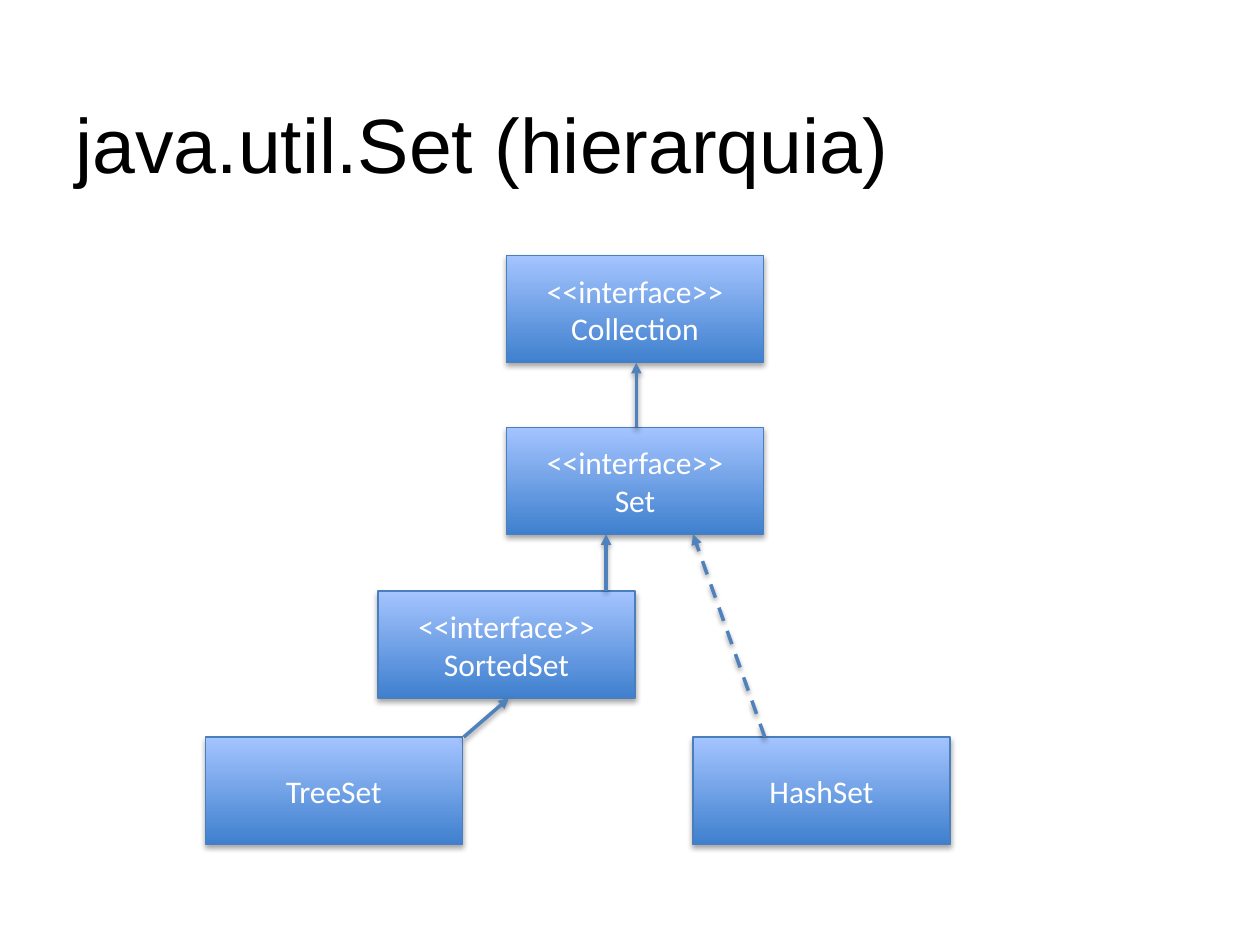
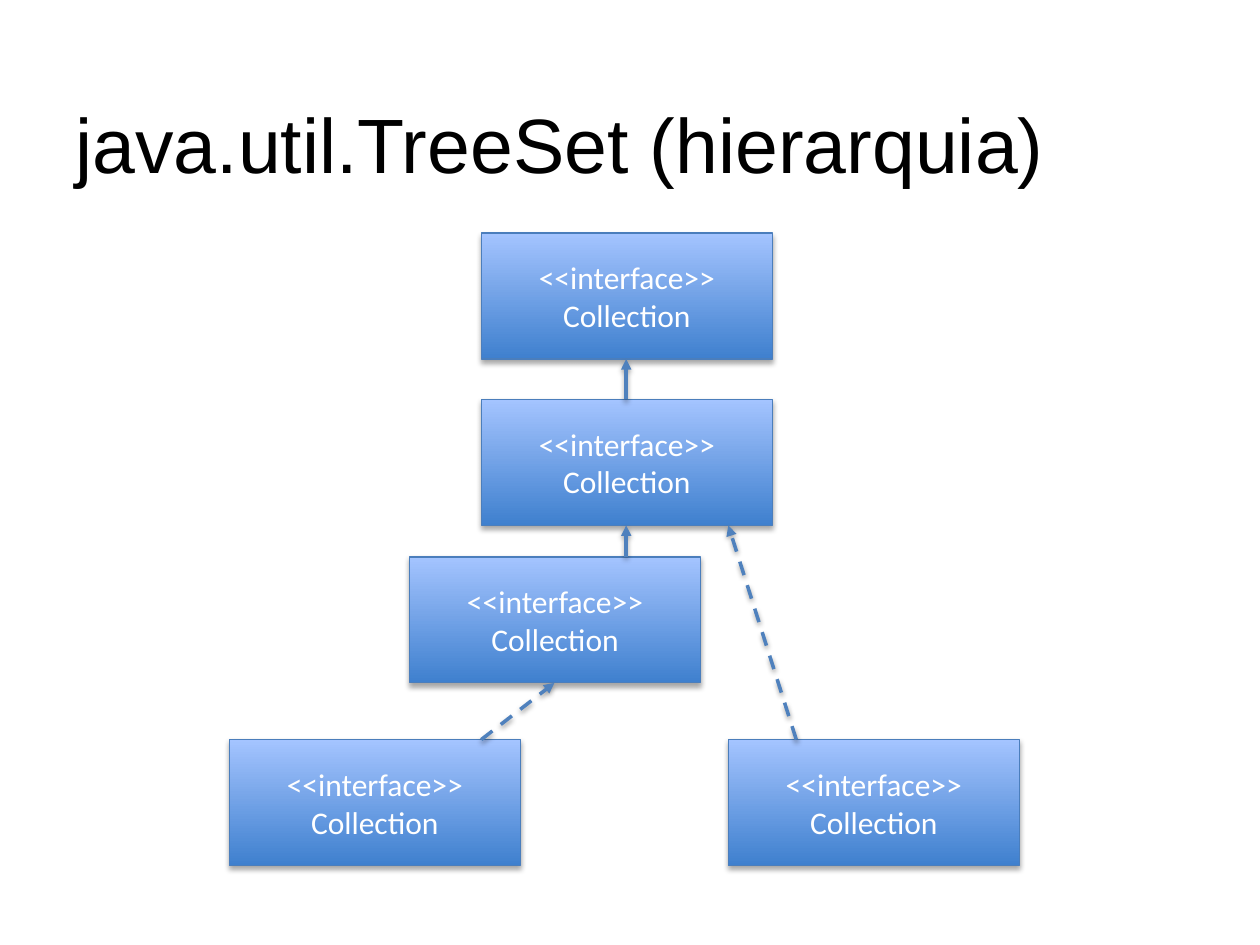
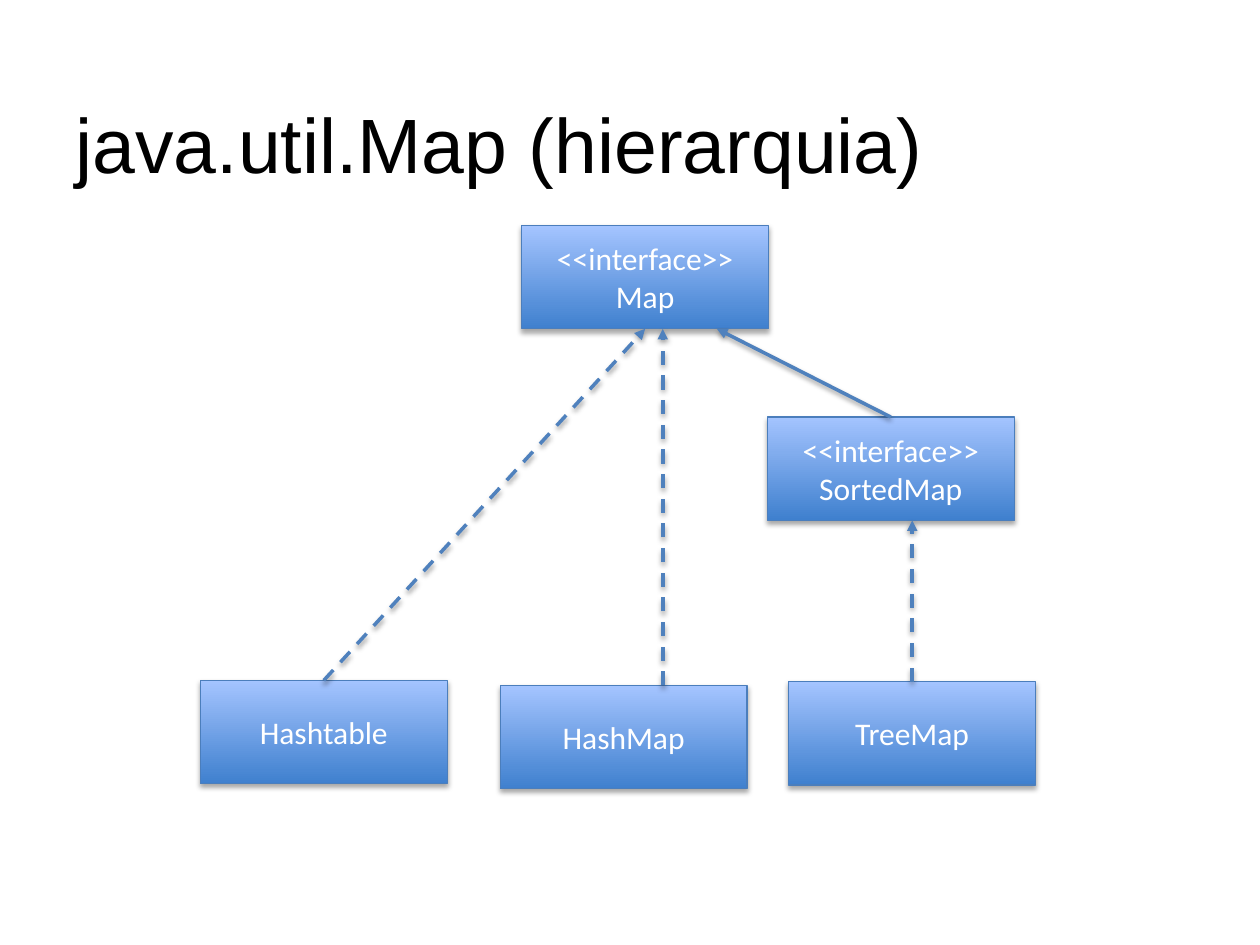
from pptx import Presentation
from pptx.dml.color import RGBColor
from pptx.enum.dml import MSO_LINE
from pptx.enum.shapes import MSO_CONNECTOR as LINK, MSO_SHAPE as SHAPE
from pptx.enum.text import MSO_ANCHOR as ANCHOR, MSO_AUTO_SIZE as FIT, PP_ALIGN as ALIGN
from pptx.oxml import parse_xml
from pptx.oxml.ns import nsdecls
from pptx.util import Inches, Pt

# Colours
BLACK = RGBColor(0x00, 0x00, 0x00)
WHITE = RGBColor(0xFF, 0xFF, 0xFF)
DEEP = RGBColor(0x3F, 0x80, 0xCE)
PALE = RGBColor(0xA4, 0xC4, 0xFF)
EDGE = RGBColor(0x4B, 0x7E, 0xBC)
ARROW = RGBColor(0x4F, 0x81, 0xBD)

# Formats
HEAD = {"size": Pt(44), "name": "Arial"}
LABEL = {"size": Pt(18), "name": "Calibri"}

deck = Presentation()
deck.slide_width, deck.slide_height = Inches(10), Inches(7.5)

# Grid of 100 columns and 75 rows
COL = deck.slide_width / 100
ROW = deck.slide_height / 75


def dress(para, form, color, align):
    para.alignment = align
    for run in para.runs:
        for key, value in form.items():
            setattr(run.font, key, value)
        run.font.color.rgb = color


def shade(item, dist, alpha):
    props = item._element.spPr
    for old in props.findall("{*}effectLst"):
        props.remove(old)
    props.append(parse_xml(
        f'<a:effectLst {nsdecls("a")}>'
        f'<a:outerShdw blurRad="{Pt(3.1)}" dist="{Pt(dist)}" dir="5400000" rotWithShape="0">'
        f'<a:srgbClr val="000000"><a:alpha val="{alpha * 1000}"/></a:srgbClr>'
        '</a:outerShdw></a:effectLst>'))


# Shared title place
plan = deck.slide_layouts[5]
place = {"left": 5 * COL, "top": 3 * ROW, "width": 93 * COL, "height": 12.5 * ROW}
for key, value in place.items():
    setattr(plan.placeholders[0], key, int(value))
plan.placeholders[0].text_frame.vertical_anchor = ANCHOR.BOTTOM

FACE = "<<interface>>\n"

# Each slide: title, box size, boxes (column, row, text),
# arrows (child, parent, start column, end column, dashed)
charts = [
    ("java.util.Set (hierarquia)", (20.4, 8.5),
     [(40.2, 20.3, FACE + "Collection"),
      (40.2, 33.9, FACE + "Set"),
      (30, 46.9, FACE + "SortedSet"),
      (55, 58.5, "HashSet"),
      (16.3, 58.5, "TreeSet")],
     [(1, 0, 50.5, 50.5, False),
      (4, 2, 36.8, 40.4, False),
      (2, 1, 48.1, 48.1, False),
      (3, 1, 60.7, 55, True)]),
    ("java.util.TreeSet (hierarquia)", (23.1, 10),
     [(x, y, FACE + "Collection") for x, y in
      [(38.2, 18.5), (38.2, 31.7), (32.5, 44.2), (57.8, 58.7), (18.2, 58.7)]],
     [(1, 0, 49.7, 49.7, False),
      (2, 1, 49.7, 49.7, False),
      (4, 2, 38.2, 44, True),
      (3, 1, 63.2, 57.8, True)]),
    ("java.util.Map (hierarquia)", (19.6, 8.2),
     [(41.4, 17.9, FACE + "Map"),
      (60.9, 33.1, FACE + "SortedMap"),
      (62.6, 54.1, "TreeMap"),
      (39.7, 54.4, "HashMap"),
      (15.9, 54, "Hashtable")],
     [(4, 0, 25.7, 51.2, True),
      (3, 0, 52.6, 52.6, True),
      (1, 0, 70.7, 56.9, False),
      (2, 1, 72.4, 72.4, True)]),
]

for title, (wide, high), boxes, arrows in charts:
    slide = deck.slides.add_slide(plan)

    # Title
    frame = slide.shapes.title.text_frame
    frame.text = title
    frame.auto_size = FIT.NONE
    dress(frame.paragraphs[0], HEAD, BLACK, ALIGN.LEFT)

    # Boxes
    for x, y, text in boxes:
        box = slide.shapes.add_shape(SHAPE.RECTANGLE, int(x * COL), int(y * ROW),
                                     int(wide * COL), int(high * ROW))
        box.fill.gradient()
        box.fill.gradient_angle = 90
        for stop, color in zip(box.fill.gradient_stops, (DEEP, PALE)):
            stop.color.rgb = color
        box.line.color.rgb = EDGE
        box.line.width = Pt(0.75)
        shade(box, 1.8, 35)
        box.text_frame.text = text
        box.text_frame.vertical_anchor = ANCHOR.MIDDLE
        for para in box.text_frame.paragraphs:
            dress(para, LABEL, WHITE, ALIGN.CENTER)

    # Arrows from the top of a child to the foot of its parent
    for child, parent, start, end, dashed in arrows:
        link = slide.shapes.add_connector(
            LINK.STRAIGHT, int(start * COL), int(boxes[child][1] * ROW),
            int(end * COL), int((boxes[parent][1] + high) * ROW))
        link.line.color.rgb = ARROW
        link.line.width = Pt(2)
        if dashed:
            link.line.dash_style = MSO_LINE.DASH
        link.line._get_or_add_ln().append(
            parse_xml(f'<a:tailEnd {nsdecls("a")} type="triangle"/>'))
        shade(link, 1.6, 38)

deck.save("out.pptx")
